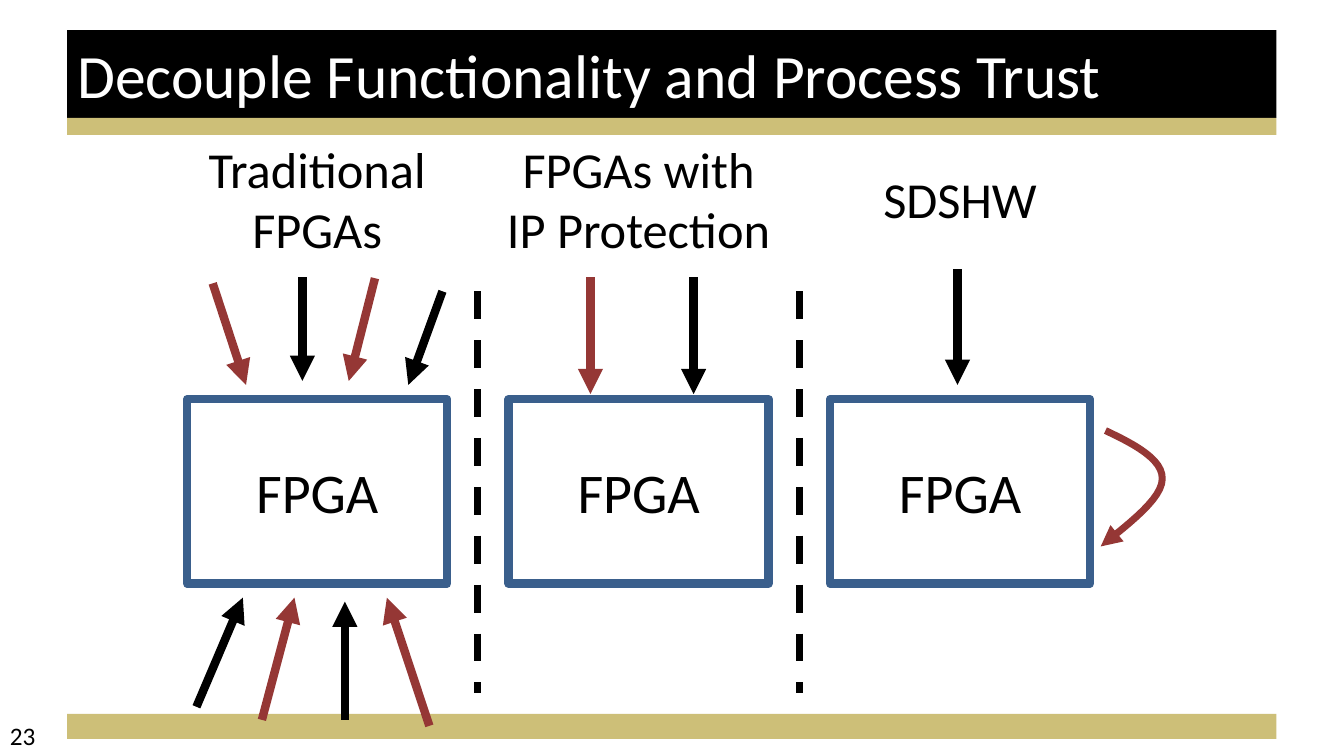
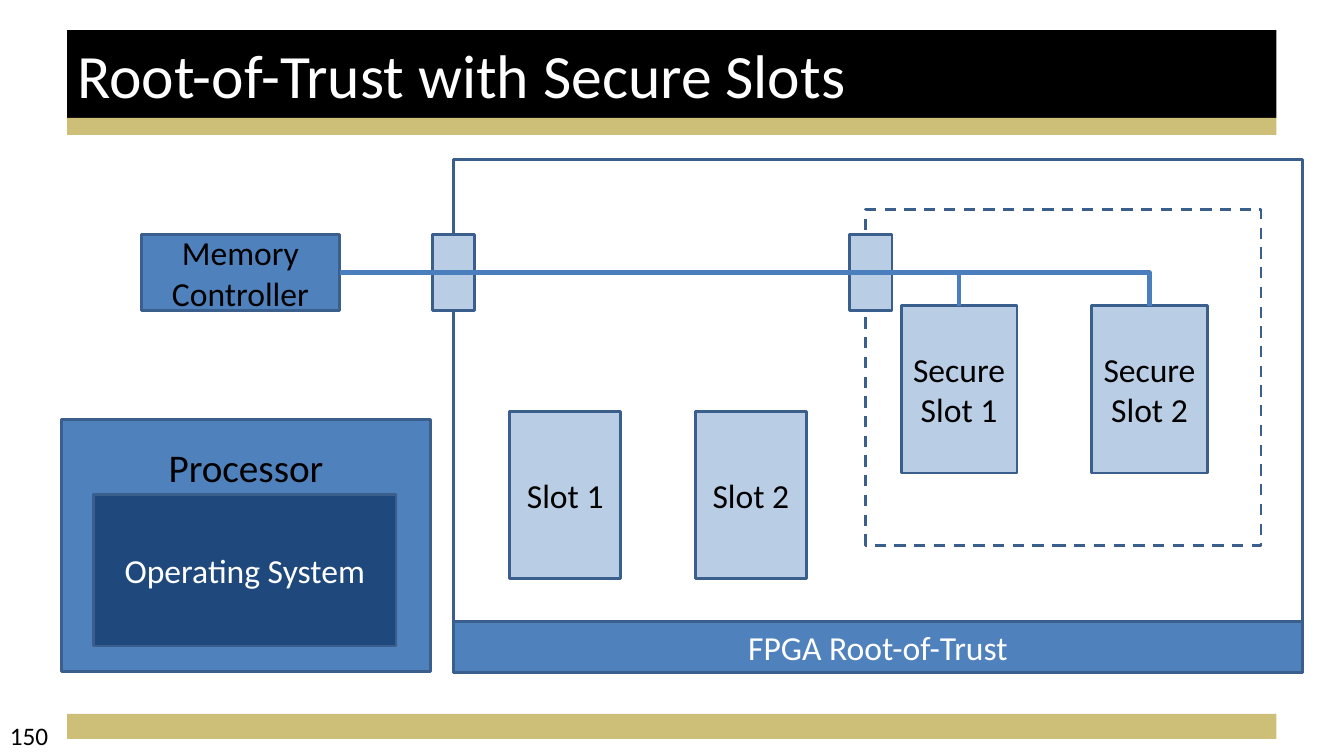
from dataclasses import dataclass

from pptx import Presentation
from pptx.dml.color import RGBColor
from pptx.enum.dml import MSO_LINE
from pptx.enum.shapes import MSO_CONNECTOR as CONN, MSO_SHAPE
from pptx.enum.text import MSO_ANCHOR as ANCHOR, MSO_AUTO_SIZE, PP_ALIGN as ALIGN
from pptx.oxml.ns import qn
from pptx.oxml.xmlchemy import OxmlElement
from pptx.util import Cm, Pt


@dataclass(frozen=True)
class Theme:
    font: str = "Calibri"
    black: str = "000000"
    white: str = "FFFFFF"
    gold: str = "CDBF78"
    red: str = "953735"
    outline: str = "3A5F8C"
    wire: str = "4B7EBC"
    blue: str = "4F81BD"
    navy: str = "1F497D"
    pale: str = "B9CDE5"
    title: int = 44
    chip: int = 40
    heading: int = 36
    large: int = 28
    body: int = 24
    number: int = 18
    thick: int = 6
    medium: int = 5
    bus: int = 3
    thin: int = 2


T = Theme()

TITLE_BOX = (1.69, 0.76, 30.48, 2.21)
NUMBER_BOX = (0, 18.03, 7.9, 1.02)
BANDS = [
    ((1.69, 17.99, 30.48, 0.63), T.gold),
    (TITLE_BOX, T.black),
    ((1.69, 2.97, 30.48, 0.43), T.gold),
]

HEADINGS = [["Traditional FPGAs"], ["FPGAs with", "IP Protection"], ["SDSHW"]]
COLUMN_LEFT, COLUMN_STEP = 4.72, 8.1
CHIP_TOP, CHIP_W, CHIP_H = 10.06, 6.55, 4.65
HEADING_TOP, HEADING_W, HEADING_H = 3.33, 7.6, 3.33
DIVIDER_OFFSET, DIVIDER_TOP, DIVIDER_BOTTOM = 7.32, 7.34, 17.45

ARROWS = {
    T.red: [
        (14.88, 6.99, 14.88, 9.93),
        (9.45, 7.01, 8.79, 9.6),
        (5.36, 7.14, 6.2, 9.7),
        (10.82, 18.29, 9.75, 15.06),
        (6.6, 18.14, 7.42, 15.06),
    ],
    T.black: [
        (17.48, 6.99, 17.48, 9.93),
        (7.62, 6.99, 7.62, 9.6),
        (11.15, 7.34, 10.29, 9.7),
        (8.69, 18.14, 8.69, 15.16),
        (4.95, 17.81, 6.12, 15.06),
        (24.13, 6.78, 24.13, 9.7),
    ],
}
LOOP_CURVES = [
    [(27.86, 10.85), (28.6, 11.2), (29.31, 11.58), (29.29, 12.07)],
    [(29.29, 12.07), (29.29, 12.55), (28.5, 13.16), (27.74, 13.77)],
]
LOOP_STEPS = 12

FPGA_FRAME = (11.43, 4.01, 21.39, 12.93)
SECURE_FRAME = (21.82, 5.28, 9.96, 8.46)
PROCESSOR = ("Processor", (1.55, 10.57, 9.3, 6.35))
PROCESSOR_INSET = 0.6
MEMORY = ("Memory Controller", (3.56, 5.92, 5, 1.9))
BLOCKS = [
    ("FPGA Root-of-Trust", (11.43, 15.67, 21.39, 1.27), T.blue),
    ("Operating System", (2.36, 12.47, 7.62, 3.81), T.navy),
]
SLOTS = ["Slot 1", "Slot 2"]
SLOT_LEFT, SLOT_STEP, SLOT_TOP, SLOT_W = 12.85, 4.68, 10.36, 2.79
SECURE_SLOTS = ["Secure Slot 1", "Secure Slot 2"]
SECURE_LEFT, SECURE_STEP, SECURE_TOP, SECURE_W = 22.71, 4.8, 7.7, 2.92
SLOT_H = 4.22
PORT_LEFTS = [10.9, 21.41]
PORT_TOP, PORT_W, PORT_H = 5.92, 1.07, 1.9
BUS_Y = PORT_TOP + PORT_H / 2


def rgb(color):
    return RGBColor.from_string(color)


def write(tf, lines, size, color, align=ALIGN.CENTER, anchor=ANCHOR.MIDDLE):
    tf.word_wrap = True
    tf.auto_size = MSO_AUTO_SIZE.NONE
    tf.vertical_anchor = anchor
    for i, line in enumerate(lines):
        p = tf.add_paragraph() if i else tf.paragraphs[0]
        p.alignment = align
        r = p.add_run()
        r.text = line
        r.font.name = T.font
        r.font.size = Pt(size)
        r.font.color.rgb = rgb(color)


def stroke(line, color, width, dashed=False, arrow=False):
    line.color.rgb = rgb(color)
    line.width = Pt(width)
    if dashed:
        line.dash_style = MSO_LINE.DASH
    if arrow:
        tail = OxmlElement("a:tailEnd")
        tail.set("type", "triangle")
        line._get_or_add_ln().append(tail)


def add_box(s, box, fill=None, line=T.outline, width=T.thin, dashed=False):
    sp = s.shapes.add_shape(MSO_SHAPE.RECTANGLE, *map(Cm, box))
    sp.shadow.inherit = False
    if fill:
        sp.fill.solid()
        sp.fill.fore_color.rgb = rgb(fill)
    else:
        sp.fill.background()
    if line:
        stroke(sp.line, line, width, dashed)
    else:
        sp.line.fill.background()
    return sp


def add_label(s, box, lines, size, **style):
    write(s.shapes.add_textbox(*map(Cm, box)).text_frame, lines, size, T.black, **style)


def add_line(s, ends, color, width, kind=CONN.STRAIGHT, **style):
    cx = s.shapes.add_connector(kind, *map(Cm, ends))
    cx._element.spPr.append(OxmlElement("a:effectLst"))
    stroke(cx.line, color, width, **style)
    return cx


def bezier(curve, t):
    weights = ((1 - t) ** 3, 3 * t * (1 - t) ** 2, 3 * t * t * (1 - t), t ** 3)
    return tuple(Cm(sum(w * pt[axis] for w, pt in zip(weights, curve))) for axis in (0, 1))


def add_loop(s):
    points = [bezier(c, i / LOOP_STEPS) for c in LOOP_CURVES for i in range(1, LOOP_STEPS + 1)]
    builder = s.shapes.build_freeform(*map(Cm, LOOP_CURVES[0][0]))
    builder.add_line_segments(points, close=False)
    sp = builder.convert_to_shape()
    sp.shadow.inherit = False
    sp.fill.background()
    stroke(sp.line, T.red, T.medium, arrow=True)


def add_bands(s):
    tree = s.slide_layout.shapes._spTree
    for i, (box, color) in enumerate(BANDS):
        el = add_box(s, box, color, line=None)._element
        el.nvSpPr.cNvPr.set("id", str(100 + i))
        tree.insert(2 + i, el)


def new_slide(prs, title, number):
    s = prs.slides.add_slide(prs.slide_layouts[5])
    sp = s.shapes.title
    sp.left, sp.top, sp.width, sp.height = map(Cm, TITLE_BOX)
    write(sp.text_frame, [title], T.title, T.white, align=ALIGN.LEFT)
    add_label(s, NUMBER_BOX, [number], T.number, align=ALIGN.LEFT, anchor=ANCHOR.TOP)
    return s


def build_trust(prs):
    s = new_slide(prs, "Decouple Functionality and Process Trust", "23")
    add_bands(s)
    for i, heading in enumerate(HEADINGS):
        left = COLUMN_LEFT + i * COLUMN_STEP
        chip = add_box(s, (left, CHIP_TOP, CHIP_W, CHIP_H), width=T.thick)
        write(chip.text_frame, ["FPGA"], T.chip, T.black)
        heading_left = left + (CHIP_W - HEADING_W) / 2
        add_label(s, (heading_left, HEADING_TOP, HEADING_W, HEADING_H), heading, T.heading)
        if i < len(HEADINGS) - 1:
            x = left + DIVIDER_OFFSET
            add_line(s, (x, DIVIDER_TOP, x, DIVIDER_BOTTOM), T.black, T.medium, dashed=True)
    for color, arrows in ARROWS.items():
        for ends in arrows:
            add_line(s, ends, color, T.thick, arrow=True)
    add_loop(s)


def build_slots(prs):
    s = new_slide(prs, "Root-of-Trust with Secure Slots", "150")
    add_box(s, FPGA_FRAME)
    add_box(s, SECURE_FRAME, dashed=True)

    name, box = PROCESSOR
    tf = add_box(s, box, T.blue).text_frame
    tf.margin_top = Cm(PROCESSOR_INSET)
    write(tf, [name], T.large, T.black, anchor=ANCHOR.TOP)
    for name, box, fill in BLOCKS:
        write(add_box(s, box, fill).text_frame, [name], T.body, T.white)

    name, box = MEMORY
    memory = add_box(s, box, T.blue)
    write(memory.text_frame, [name], T.body, T.black)
    for left in PORT_LEFTS:
        add_box(s, (left, PORT_TOP, PORT_W, PORT_H), T.pale)

    def add_slots(names, left, step, top, width):
        slots = []
        for i, slot_name in enumerate(names):
            sp = add_box(s, (left + i * step, top, width, SLOT_H), T.pale)
            write(sp.text_frame, [slot_name], T.body, T.black)
            slots.append(sp)
        return slots

    add_slots(SLOTS, SLOT_LEFT, SLOT_STEP, SLOT_TOP, SLOT_W)
    secure = add_slots(SECURE_SLOTS, SECURE_LEFT, SECURE_STEP, SECURE_TOP, SECURE_W)

    branch_x = SECURE_LEFT + SECURE_W / 2
    bus_ends = (MEMORY[1][0] + MEMORY[1][2], BUS_Y, branch_x + SECURE_STEP, SECURE_TOP)
    bus = add_line(s, bus_ends, T.wire, T.bus, kind=CONN.ELBOW)
    bus._element.spPr.find(qn("a:prstGeom")).set("prst", "bentConnector2")
    bus.begin_connect(memory, 3)
    bus.end_connect(secure[-1], 0)
    add_line(s, (branch_x, SECURE_TOP, branch_x, BUS_Y), T.wire, T.bus)


def main():
    prs = Presentation()
    prs.slide_width, prs.slide_height = Cm(33.87), Cm(19.05)
    build_trust(prs)
    build_slots(prs)
    prs.save("out.pptx")


if __name__ == "__main__":
    main()
